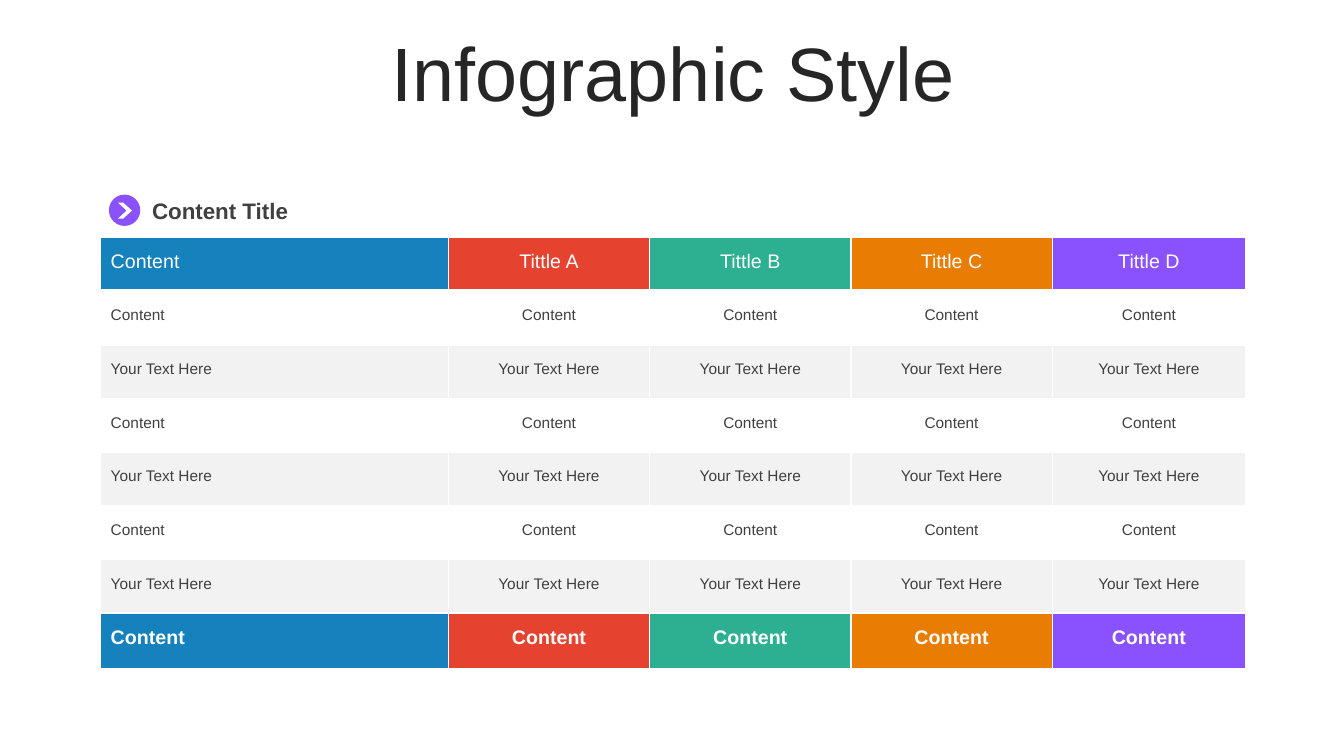
from dataclasses import dataclass

from lxml.etree import SubElement
from pptx import Presentation
from pptx.dml.color import RGBColor
from pptx.enum.shapes import MSO_SHAPE as Preset
from pptx.enum.text import MSO_ANCHOR as Anchor, PP_ALIGN as Align
from pptx.oxml.ns import qn
from pptx.slide import Slide
from pptx.table import _Cell as Cell
from pptx.text.text import TextFrame
from pptx.util import Pt

WHITE = RGBColor(0xFF, 0xFF, 0xFF)
PALE_GREY = RGBColor(0xF2, 0xF2, 0xF2)
DARK_GREY = RGBColor(0x40, 0x40, 0x40)
TITLE_GREY = RGBColor(0x26, 0x26, 0x26)
BLUE = RGBColor(0x15, 0x81, 0xBD)
RED = RGBColor(0xE6, 0x42, 0x30)
GREEN = RGBColor(0x2C, 0xB0, 0x91)
ORANGE = RGBColor(0xE9, 0x7D, 0x03)
PURPLE = RGBColor(0x8A, 0x52, 0xFF)
FONT = "Arial"


@dataclass(frozen=True)
class Column:
    heading: str
    color: RGBColor
    width: float
    align: Align = Align.CENTER


@dataclass(frozen=True)
class Row:
    texts: list[str]
    fills: list[RGBColor]
    height: float = 38.3
    size: float = 11
    color: RGBColor = DARK_GREY
    bold: bool = False
    rule_below: float = 1


@dataclass(frozen=True)
class IconPart:
    preset: Preset
    color: RGBColor
    left: float
    top: float
    width: float
    height: float
    adjustments: tuple[float, ...] = ()


COLUMNS = [
    Column("Content", BLUE, 248.4, Align.LEFT),
    Column("Tittle A", RED, 143.8),
    Column("Tittle B", GREEN, 143.8),
    Column("Tittle C", ORANGE, 143.8),
    Column("Tittle D", PURPLE, 138.2),
]
COLORS = [column.color for column in COLUMNS]
COUNT = len(COLUMNS)
BODY_PAIR = [
    Row(["Content"] * COUNT, [WHITE] * COUNT),
    Row(["Your Text Here"] * COUNT, [PALE_GREY] * COUNT),
]
ROWS = [
    Row([column.heading for column in COLUMNS], COLORS, 38.6, 14, WHITE, rule_below=3),
    *BODY_PAIR * 3,
    Row(["Content"] * COUNT, COLORS, 39.5, 14, WHITE, bold=True),
]
ICON = [
    IconPart(Preset.OVAL, PURPLE, 77.8, 139, 22.4, 22.4),
    IconPart(Preset.CHEVRON, WHITE, 84.2, 144.7, 10.1, 11.5, (0.624,)),
]


def write(frame: TextFrame, text: str, *, size: float, color: RGBColor,
          align: Align = Align.LEFT, bold: bool = False,
          line_spacing: float = 1.0) -> None:
    paragraph = frame.paragraphs[0]
    paragraph.alignment = align
    paragraph.line_spacing = line_spacing
    paragraph.space_before = Pt(0)
    run = paragraph.add_run()
    run.text = text
    run.font.name = FONT
    run.font.size = Pt(size)
    run.font.bold = bold
    run.font.color.rgb = color


def set_border(cell: Cell, side: str, width: float) -> None:
    line = SubElement(cell._tc.get_or_add_tcPr(), qn(f"a:{side}"), w=str(Pt(width)))
    fill = SubElement(line, qn("a:solidFill"))
    SubElement(fill, qn("a:srgbClr"), val=str(WHITE))


def add_title(slide: Slide) -> None:
    title = slide.shapes.title
    title.left, title.top, title.width, title.height = Pt(25.2), Pt(26.6), Pt(911.5), Pt(56.9)
    title.text_frame.word_wrap = True
    title.text_frame.vertical_anchor = Anchor.MIDDLE
    write(title.text_frame, "Infographic Style", size=54, color=TITLE_GREY,
          align=Align.CENTER, line_spacing=0.9)


def add_content_table(slide: Slide) -> None:
    width = sum(column.width for column in COLUMNS)
    height = sum(row.height for row in ROWS)
    table = slide.shapes.add_table(
        len(ROWS), COUNT, Pt(71.9), Pt(169.5), Pt(width), Pt(height)).table
    for index, column in enumerate(COLUMNS):
        table.columns[index].width = Pt(column.width)
    rule_above = 1.0
    for row_index, row in enumerate(ROWS):
        table.rows[row_index].height = Pt(row.height)
        for column_index, column in enumerate(COLUMNS):
            cell = table.cell(row_index, column_index)
            cell.vertical_anchor = Anchor.MIDDLE
            cell.margin_left = cell.margin_right = Pt(7.2)
            cell.margin_top, cell.margin_bottom = Pt(0), Pt(3.6)
            borders = {"lnL": 1, "lnR": 1, "lnT": rule_above, "lnB": row.rule_below}
            for side, weight in borders.items():
                set_border(cell, side, weight)
            cell.fill.solid()
            cell.fill.fore_color.rgb = row.fills[column_index]
            write(cell.text_frame, row.texts[column_index], size=row.size,
                  color=row.color, align=column.align, bold=row.bold)
        rule_above = row.rule_below


def add_table_heading(slide: Slide) -> None:
    heading = slide.shapes.add_textbox(Pt(101.5), Pt(137), Pt(200.2), Pt(26.6))
    heading.text_frame.word_wrap = True
    heading.text_frame.vertical_anchor = Anchor.MIDDLE
    write(heading.text_frame, "Content Title", size=16, color=DARK_GREY, bold=True)


def add_icon(slide: Slide) -> None:
    icon = slide.shapes.add_group_shape()
    for part in ICON:
        shape = icon.shapes.add_shape(
            part.preset, Pt(part.left), Pt(part.top), Pt(part.width), Pt(part.height))
        for index, value in enumerate(part.adjustments):
            shape.adjustments[index] = value
        shape.shadow.inherit = False
        shape.fill.solid()
        shape.fill.fore_color.rgb = part.color
        shape.line.fill.background()


def main() -> None:
    deck = Presentation()
    deck.slide_width, deck.slide_height = Pt(960), Pt(540)
    title_only = deck.slide_layouts[5]
    slide = deck.slides.add_slide(title_only)

    # Title
    add_title(slide)
    # Table
    add_content_table(slide)
    # Heading above the table, with its round arrow icon
    add_table_heading(slide)
    add_icon(slide)

    deck.save("out.pptx")


if __name__ == "__main__":
    main()
